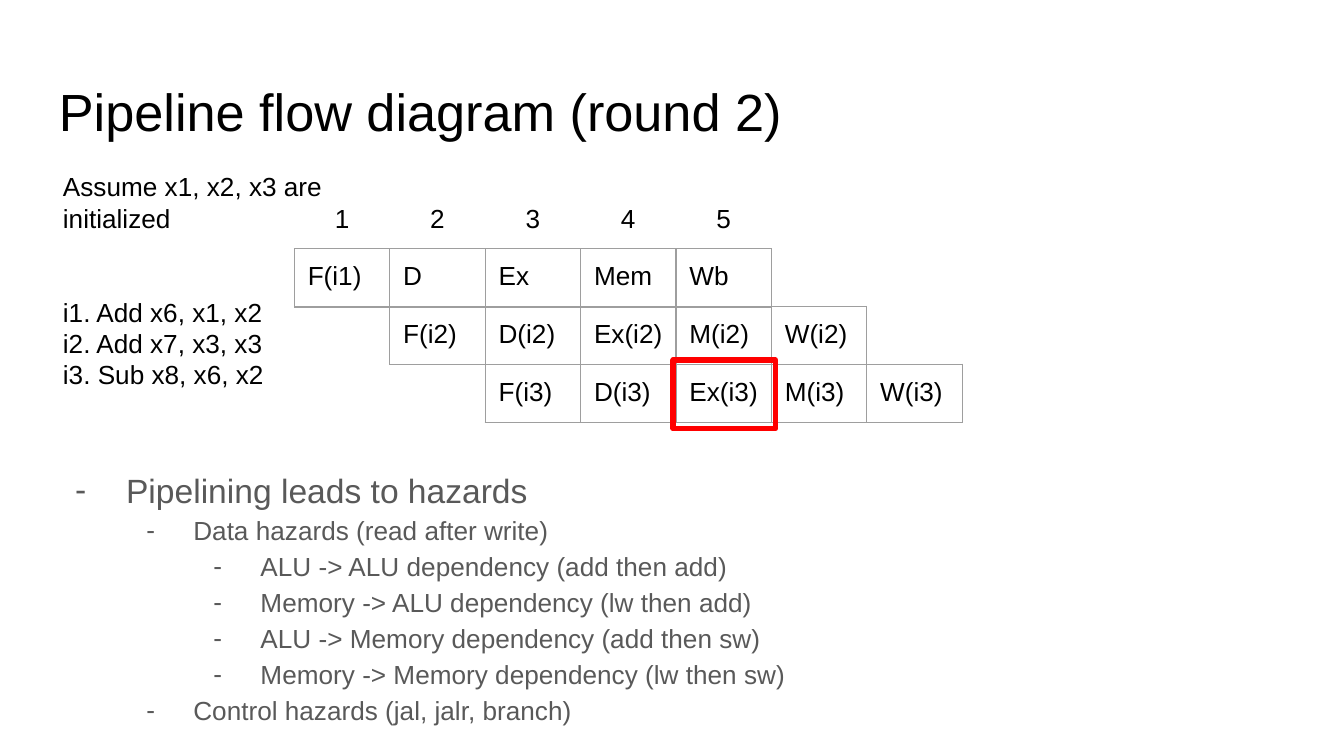
from lxml import etree
from pptx import Presentation
from pptx.dml.color import RGBColor
from pptx.enum.shapes import MSO_SHAPE
from pptx.enum.text import PP_ALIGN
from pptx.oxml.ns import qn
from pptx.util import Inches, Pt

RECTANGLE = MSO_SHAPE.RECTANGLE
LEFT, CENTER = PP_ALIGN.LEFT, PP_ALIGN.CENTER

FONT = "Arial"
COLORS = {"text": "000000", "bullets": "595959", "grid": "9E9E9E", "alert": "FF0000"}

# Pipeline grid: each instruction starts one cycle after the one above
GRID_LEFT, GRID_TOP = 2.19, 1.85
CYCLE_WIDTH, ROW_STEP, ROW_HEIGHT = 0.71, 0.43, 0.42
CYCLES = ["1", "2", "3", "4", "5"] + [""] * 5
STAGES = [
    ["F(i1)", "D", "Ex", "Mem", "Wb"],
    ["F(i2)", "D(i2)", "Ex(i2)", "M(i2)", "W(i2)"],
    ["F(i3)", "D(i3)", "Ex(i3)", "M(i3)", "W(i3)"],
]

INSTRUCTIONS = ["i1. Add x6, x1, x2", "i2. Add x7, x3, x3", "i3. Sub x8, x6, x2"]

# Outline level and wording
HAZARDS = [
    (0, "Pipelining leads to hazards"),
    (1, "Data hazards (read after write)"),
    (2, "ALU -> ALU dependency (add then add)"),
    (2, "Memory -> ALU dependency (lw then add)"),
    (2, "ALU -> Memory dependency (add then sw)"),
    (2, "Memory -> Memory dependency (lw then sw)"),
    (1, "Control hazards (jal, jalr, branch)"),
]


def rgb(name):
    return RGBColor.from_string(COLORS[name])


def add_span(para, text, size=14, color="text"):
    span = para.add_run()
    span.text = text
    span.font.name = FONT
    span.font.size = Pt(size)
    span.font.color.rgb = rgb(color)


def set_margins(target):
    target.margin_left = target.margin_right = Inches(0.1)
    target.margin_top = target.margin_bottom = Inches(0.1)


def add_text_box(page, left, top, width, height):
    box = page.shapes.add_textbox(Inches(left), Inches(top), Inches(width), Inches(height))
    frame = box.text_frame
    frame.word_wrap = True
    set_margins(frame)
    return frame


def set_borders(cell, color):
    """Draw all four cell borders, or none when color is None."""
    properties = cell._tc.get_or_add_tcPr()
    for position, side in enumerate(("a:lnL", "a:lnR", "a:lnT", "a:lnB")):
        line = etree.Element(qn(side), w=str(Pt(0.75)))
        if color:
            fill = etree.SubElement(line, qn("a:solidFill"))
            etree.SubElement(fill, qn("a:srgbClr"), val=COLORS[color])
        else:
            etree.SubElement(line, qn("a:noFill"))
        properties.insert(position, line)


def add_row_table(page, labels, left, top, height, align=LEFT, border=None):
    frame = page.shapes.add_table(
        1, len(labels), Inches(left), Inches(top),
        Inches(CYCLE_WIDTH * len(labels)), Inches(height))
    table = frame.table
    table.first_row = table.horz_banding = False
    for column, label in enumerate(labels):
        table.columns[column].width = Inches(CYCLE_WIDTH)
        cell = table.cell(0, column)
        set_margins(cell)
        cell.fill.background()
        set_borders(cell, border)
        para = cell.text_frame.paragraphs[0]
        para.alignment = align
        if label:
            add_span(para, label)
        else:
            # Keep an empty cell from stretching the row
            etree.SubElement(para._p, qn("a:endParaRPr"), sz="1400")


def add_highlight(page, left, top, width, height):
    box = page.shapes.add_shape(
        RECTANGLE, Inches(left), Inches(top), Inches(width), Inches(height))
    box.shadow.inherit = False
    box.fill.background()
    box.line.color.rgb = rgb("alert")
    box.line.width = Pt(3)


def set_dash_bullet(para, level):
    para.level = level
    para.line_spacing = 1.15
    properties = para._p.get_or_add_pPr()
    properties.set("marL", str(Inches(0.5 * (level + 1))))
    properties.set("indent", str(Inches(-0.35 if level else -0.38)))
    color = etree.SubElement(properties, qn("a:buClr"))
    etree.SubElement(color, qn("a:srgbClr"), val=COLORS["bullets"])
    etree.SubElement(properties, qn("a:buFont"), typeface=FONT)
    etree.SubElement(properties, qn("a:buChar"), char="-")


def add_instructions(page):
    frame = add_text_box(page, 0.37, 1.17, 2.53, 3.08)
    add_span(frame.paragraphs[0], "Assume x1, x2, x3 are initialized")
    for index, instruction in enumerate(INSTRUCTIONS):
        para = frame.add_paragraph()
        if index == 0:
            para.space_before = Pt(33.5)
        add_span(para, instruction)


def add_hazards(page):
    frame = add_text_box(page, 0.34, 3.35, 8.73, 2.16)
    for index, (level, text) in enumerate(HAZARDS):
        para = frame.add_paragraph() if index else frame.paragraphs[0]
        set_dash_bullet(para, level)
        add_span(para, text, 14 if level else 18, "bullets")


def main():
    # Widescreen page, 16:9
    deck = Presentation()
    deck.slide_width = Inches(10)
    deck.slide_height = Inches(10 * 9 / 16)
    page = deck.slides.add_slide(deck.slide_layouts[6])

    # Title and program
    title = add_text_box(page, 0.34, 0.49, 9.32, 0.63)
    add_span(title.paragraphs[0], "Pipeline flow diagram (round 2)", 28)
    add_instructions(page)

    # Cycle numbers and staggered pipeline stages
    add_row_table(page, CYCLES, GRID_LEFT, GRID_TOP - ROW_STEP, ROW_STEP, CENTER)
    for row, stages in enumerate(STAGES):
        add_row_table(page, stages, GRID_LEFT + row * CYCLE_WIDTH,
                      GRID_TOP + row * ROW_STEP, ROW_HEIGHT, border="grid")

    # Stage where the hazard occurs
    add_highlight(page, 5.01, 2.68, 0.76, 0.51)

    # Kinds of hazard
    add_hazards(page)

    deck.save("out.pptx")


if __name__ == "__main__":
    main()
